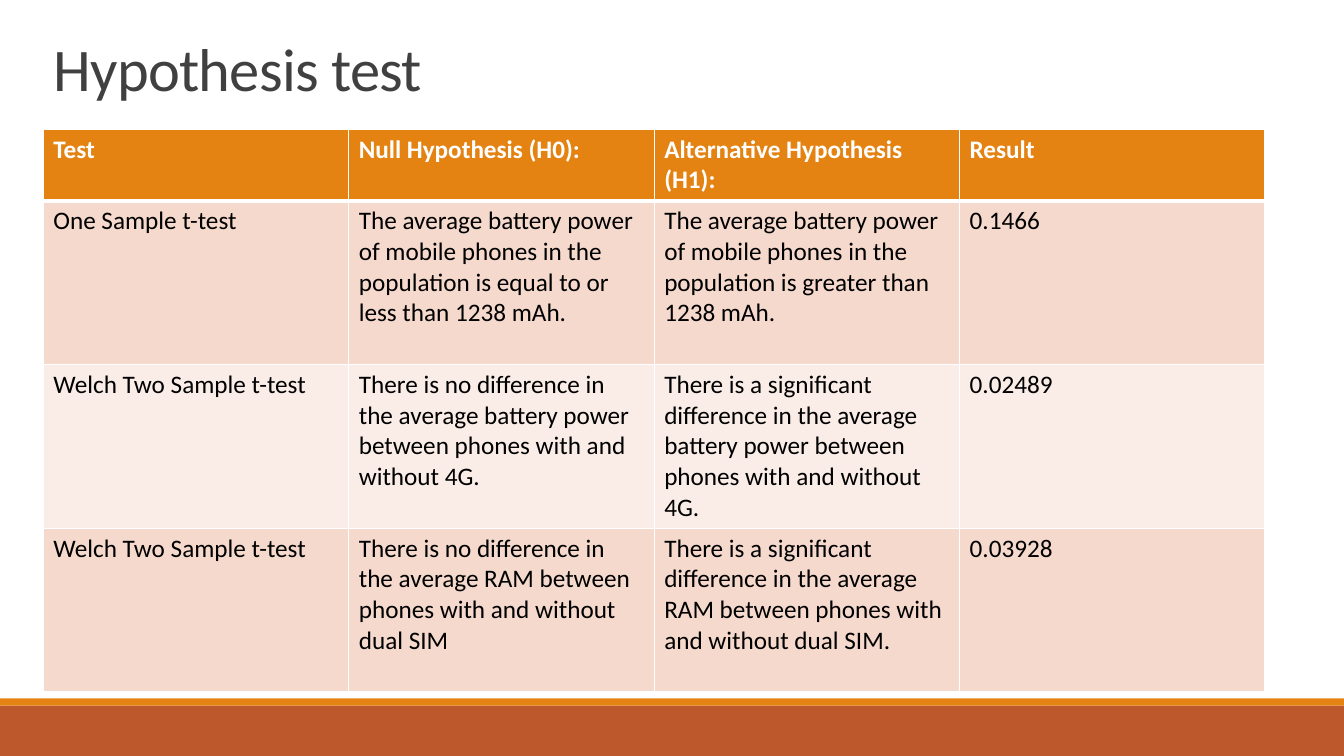
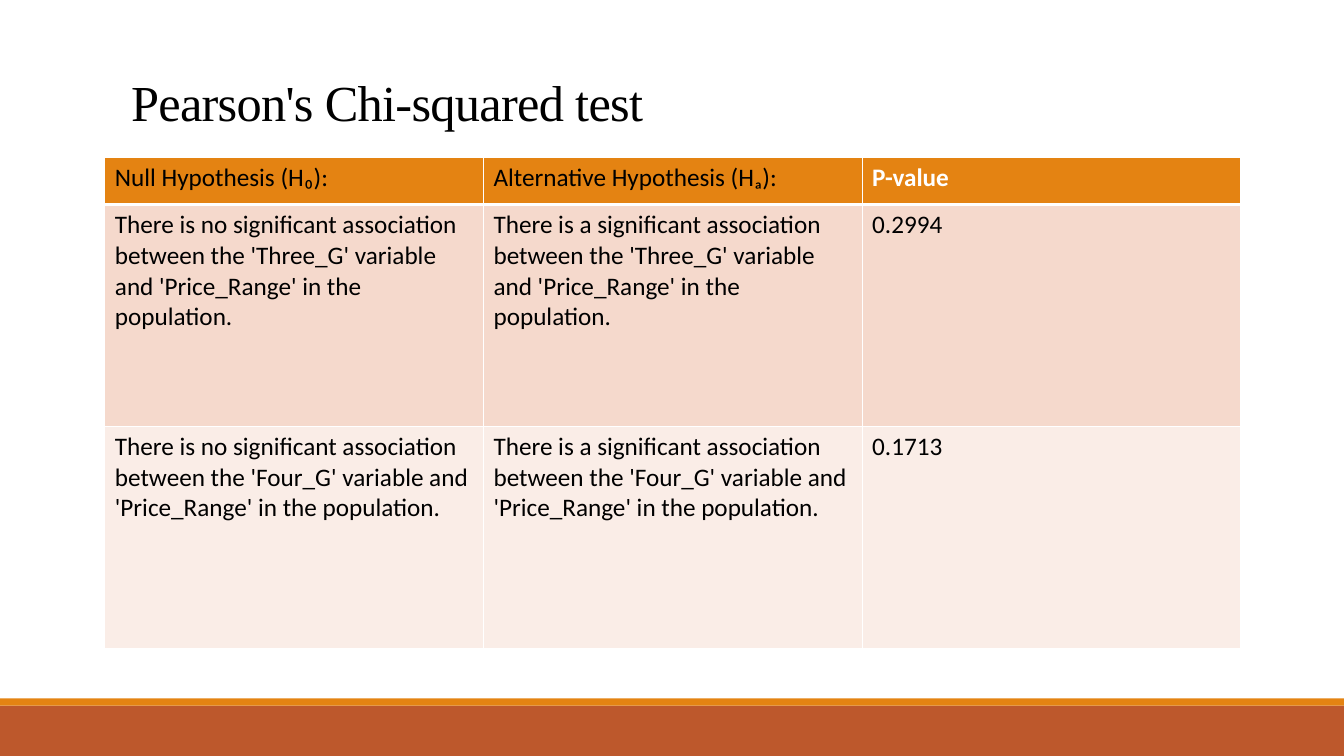
from lxml.etree import SubElement
from pptx import Presentation
from pptx.dml.color import RGBColor
from pptx.enum.shapes import MSO_CONNECTOR, MSO_SHAPE
from pptx.enum.text import MSO_ANCHOR, MSO_AUTO_SIZE, PP_ALIGN
from pptx.oxml.ns import qn
from pptx.util import Inches, Pt

COLORS = {
    "white": "FFFFFF", "black": "000000", "heading": "404040", "rule": "808080",
    "rust": "BD582C", "orange": "E48312", "band_dark": "F5D9CC", "band_light": "FAEDE7",
}
COLUMNS, ROWS = 400, 225
WIDTH, HEIGHT = Inches(13.333), Inches(7.5)

pages = [
    {
        "title": "Hypothesis test",
        "title_box": (12.9, 9.3, 353.1, 23.1),
        "title_font": {"name": "Calibri", "size": Pt(43.2)},
        "title_color": "heading",
        "title_frame": {"vertical_anchor": MSO_ANCHOR.BOTTOM},
        "title_spacing": 0.85,
        "table_box": (12.9, 38.4, 363.6),
        "row_heights": (20.8, 48.7, 48.7, 48.7),
        "plain_headings": 0,
        "rows": [
            ("Test", "Null Hypothesis (H0):", "Alternative Hypothesis (H1):", "Result"),
            ("One Sample t-test",
             "The average battery power of mobile phones in the population is equal to or less than 1238 mAh.",
             "The average battery power of mobile phones in the population is greater than 1238 mAh.",
             "0.1466"),
            ("Welch Two Sample t-test",
             "There is no difference in the average battery power between phones with and without 4G.",
             "There is a significant difference in the average battery power between phones with and without 4G.",
             "0.02489"),
            ("Welch Two Sample t-test",
             "There is no difference in the average RAM between phones with and without dual SIM",
             "There is a significant difference in the average RAM between phones with and without dual SIM.",
             "0.03928"),
        ],
    },
    {
        "title": "Pearson's Chi-squared test",
        "title_box": (36, 19.5, 163.5, 27.3),
        "title_font": {"name": "Times New Roman", "size": Pt(36)},
        "title_color": "black",
        "title_frame": {"vertical_anchor": MSO_ANCHOR.MIDDLE, "margin_top": 0, "margin_bottom": Inches(0.2)},
        "title_spacing": 1.0,
        "table_box": (31.2, 46.8, 338.1),
        "row_heights": (14.1, 66, 66),
        "plain_headings": 2,
        "rows": [
            ("Null Hypothesis (H₀):", "Alternative Hypothesis (Hₐ):", "P-value"),
            ("There is no significant association between the 'Three_G' variable and 'Price_Range' in the population.",
             "There is a significant association between the 'Three_G' variable and 'Price_Range' in the population.",
             "0.2994"),
            ("There is no significant association between the 'Four_G' variable and 'Price_Range' in the population.",
             "There is a significant association between the 'Four_G' variable and 'Price_Range' in the population.",
             "0.1713"),
        ],
    },
]


def grid(*lengths):
    return [round(length * (HEIGHT / ROWS if i % 2 else WIDTH / COLUMNS))
            for i, length in enumerate(lengths)]


def format_run(run, values, color):
    for key, value in values.items():
        setattr(run.font, key, value)
    run.font.color.rgb = RGBColor.from_string(COLORS[color])


deck = Presentation()
deck.slide_width, deck.slide_height = WIDTH, HEIGHT
layout = deck.slide_layouts[5]
for placeholder in list(layout.placeholders)[1:]:
    placeholder.element.getparent().remove(placeholder.element)
slides = [deck.slides.add_slide(layout) for page in pages]

stage = slides[0].shapes
for box, color in (((0, 210, 400, 15), "rust"), ((0, 207.9, 400, 2.1), "orange")):
    band = stage.add_shape(MSO_SHAPE.RECTANGLE, *grid(*box))
    band.shadow.inherit = False
    band.fill.solid()
    band.fill.fore_color.rgb = RGBColor.from_string(COLORS[color])
    band.line.fill.background()
    layout.shapes.element.append(band.element)

rule = stage.add_connector(MSO_CONNECTOR.STRAIGHT, *grid(39.3, 57, 366.3, 57))
rule.line.color.rgb = RGBColor.from_string(COLORS["rule"])
rule.line.width = Pt(0.5)
SubElement(rule.element.spPr, qn("a:effectLst"))
layout.shapes.element.append(rule.element)

for slide, page in zip(slides, pages):
    title = slide.shapes.title
    title.left, title.top, title.width, title.height = grid(*page["title_box"])
    title.fill.solid()
    title.fill.fore_color.rgb = RGBColor.from_string(COLORS["white"])
    frame = title.text_frame
    frame.text = page["title"]
    frame_values = {"word_wrap": True, "auto_size": MSO_AUTO_SIZE.NONE} | page["title_frame"]
    for key, value in frame_values.items():
        setattr(frame, key, value)
    heading = frame.paragraphs[0]
    heading.alignment = PP_ALIGN.LEFT
    heading.line_spacing = page["title_spacing"]
    format_run(heading.runs[0], page["title_font"], page["title_color"])
    heading.runs[0]._r.get_or_add_rPr().set("spc", "-50")

    left, top, width = page["table_box"]
    rows = page["rows"]
    tests = slide.shapes.add_table(
        len(rows), len(rows[0]), *grid(left, top, width, sum(page["row_heights"]))).table
    for row, height in zip(tests.rows, page["row_heights"]):
        row.height = round(height * HEIGHT / ROWS)

    for r, texts in enumerate(rows):
        for c, text in enumerate(texts):
            cell = tests.cell(r, c)
            cell.text = text
            cell_properties = cell._tc.get_or_add_tcPr()
            for side in "LRTB":
                heavy = (r == 0 and side == "B") or (r == 1 and side == "T")
                border = SubElement(cell_properties, qn(f"a:ln{side}"), w=str(Pt(3 if heavy else 1)))
                SubElement(SubElement(border, qn("a:solidFill")), qn("a:srgbClr"), val=COLORS["white"])
            cell.fill.solid()
            fill = "orange" if r == 0 else "band_dark" if r % 2 else "band_light"
            cell.fill.fore_color.rgb = RGBColor.from_string(COLORS[fill])
            strong = r == 0 and c >= page["plain_headings"]
            format_run(cell.text_frame.paragraphs[0].runs[0],
                       {"name": "Calibri", "size": Pt(18), "bold": strong},
                       "white" if strong else "black")

deck.save("out.pptx")
